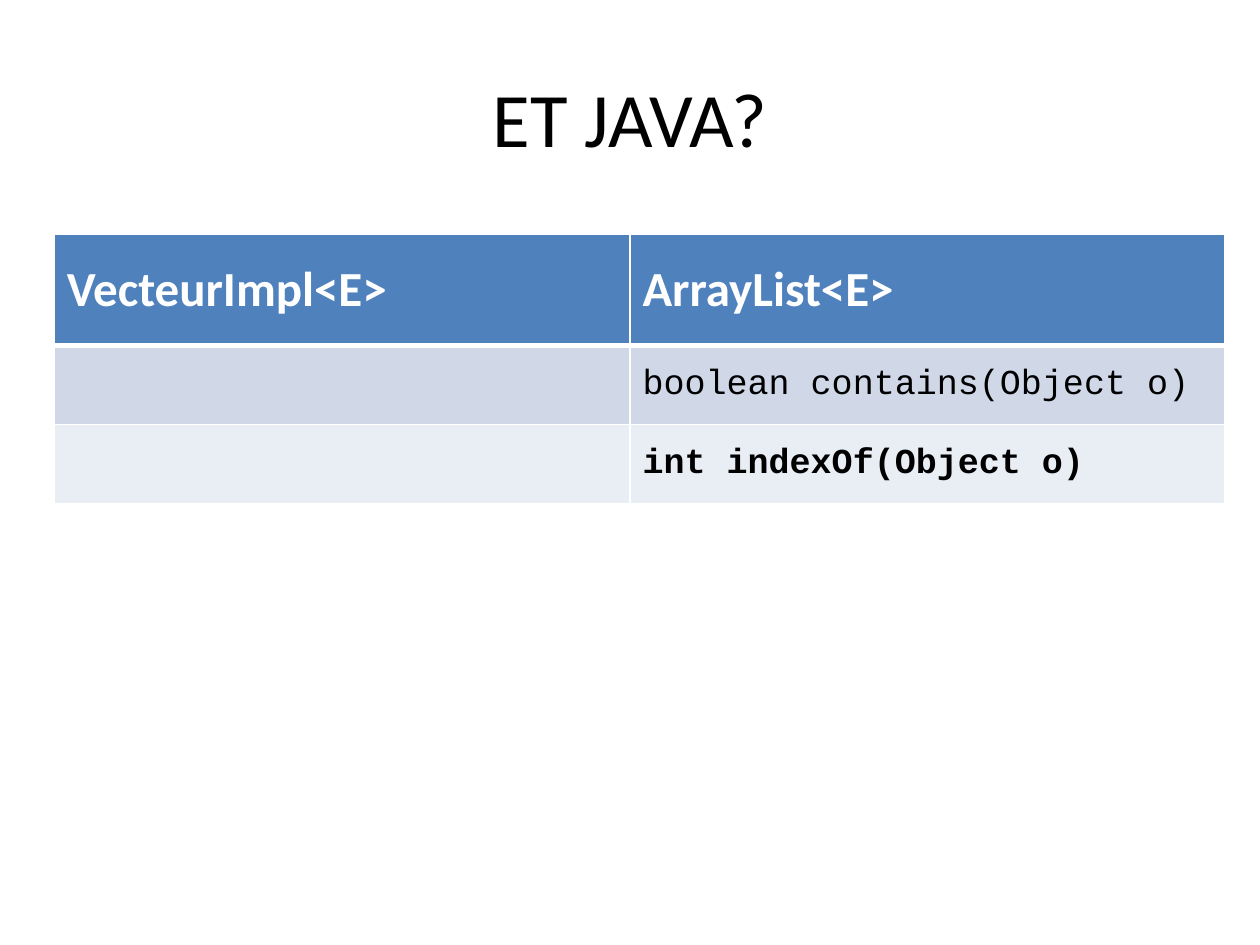
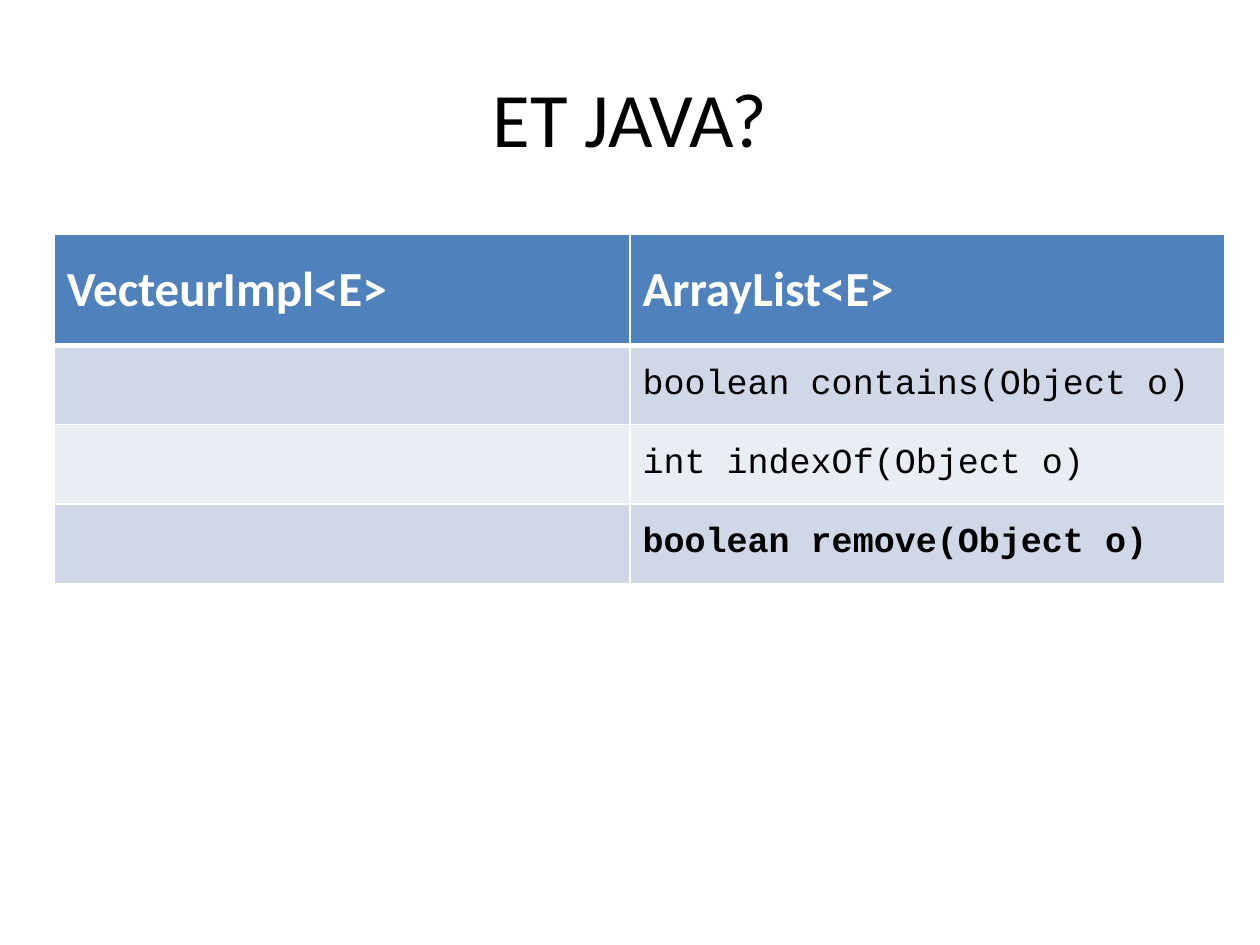
from lxml.etree import SubElement
from pptx import Presentation
from pptx.dml.color import RGBColor
from pptx.enum.text import MSO_ANCHOR as ANCHOR, PP_ALIGN as ALIGN
from pptx.oxml.ns import qn
from pptx.util import Inches, Pt

# Shared style
BLACK = RGBColor(0x00, 0x00, 0x00)
WHITE = RGBColor(0xFF, 0xFF, 0xFF)
HEADER_BLUE = RGBColor(0x4F, 0x81, 0xBD)
BANDS = (RGBColor(0xD0, 0xD8, 0xE8), RGBColor(0xE9, 0xED, 0xF4))
TEXT_FONT, CODE_FONT = "Calibri", "Courier New"

# Table layout, in inches
TABLE_LEFT, TABLE_TOP = 0.43, 1.86
COL_WIDTHS = (4.57, 4.72)
HEADER_HEIGHT, ROW_HEIGHT = 0.88, 0.63

# Content
TITLE = "ET JAVA?"
HEADERS = ("VecteurImpl<E>", "ArrayList<E>")
METHODS = (
    "boolean contains(Object o)",
    "int indexOf(Object o)",
    "boolean remove(Object o)",
)


def format_text(p, font, size, color, bold=False):
    p.font.name = font
    p.font.size = Pt(size)
    p.font.color.rgb = color
    p.font.bold = bold


def add_title(slide, text):
    sp = slide.shapes.title
    sp.left, sp.top = Inches(0.5), Inches(0.3)
    sp.width, sp.height = Inches(9), Inches(1.25)
    tf = sp.text_frame
    tf.text = text
    tf.vertical_anchor = ANCHOR.MIDDLE
    p = tf.paragraphs[0]
    p.alignment = ALIGN.CENTER
    format_text(p, TEXT_FONT, 44, BLACK)


def set_borders(cell, top, bottom):
    """White rules: 1 pt at the sides, given widths above and below."""
    tc_pr = cell._tc.get_or_add_tcPr()
    for side, width in (("L", 1), ("R", 1), ("T", top), ("B", bottom)):
        ln = SubElement(tc_pr, qn(f"a:ln{side}"), w=str(Pt(width)))
        fill = SubElement(ln, qn("a:solidFill"))
        SubElement(fill, qn("a:srgbClr"), val=str(WHITE))


def style_cell(cell, fill, top=1, bottom=1):
    set_borders(cell, top, bottom)
    cell.fill.solid()
    cell.fill.fore_color.rgb = fill
    cell.vertical_anchor = ANCHOR.MIDDLE


def add_method_table(slide, methods):
    """Compare the two classes; the newest method is in bold."""
    height = HEADER_HEIGHT + ROW_HEIGHT * len(methods)
    table = slide.shapes.add_table(
        len(methods) + 1, len(HEADERS), Inches(TABLE_LEFT), Inches(TABLE_TOP),
        Inches(sum(COL_WIDTHS)), Inches(height)).table
    for column, width in zip(table.columns, COL_WIDTHS):
        column.width = Inches(width)

    # Header row
    table.rows[0].height = Inches(HEADER_HEIGHT)
    for col, header in enumerate(HEADERS):
        cell = table.cell(0, col)
        cell.text = header
        style_cell(cell, HEADER_BLUE, bottom=3)
        format_text(cell.text_frame.paragraphs[0], TEXT_FONT, 28, WHITE, True)

    # Banded method rows
    for row, method in enumerate(methods, start=1):
        table.rows[row].height = Inches(ROW_HEIGHT)
        for col in range(len(HEADERS)):
            style_cell(table.cell(row, col), BANDS[(row - 1) % 2],
                       top=3 if row == 1 else 1)
        cell = table.cell(row, 1)
        cell.text = method
        format_text(cell.text_frame.paragraphs[0], CODE_FONT, 20, BLACK,
                    bold=row == len(methods))


def main():
    prs = Presentation()
    prs.slide_width, prs.slide_height = Inches(10), Inches(7.5)
    title_only = prs.slide_layouts[5]

    # Each slide reveals one more method
    for count in (2, 3):
        slide = prs.slides.add_slide(title_only)
        add_title(slide, TITLE)
        add_method_table(slide, METHODS[:count])

    prs.save("out.pptx")


if __name__ == "__main__":
    main()
